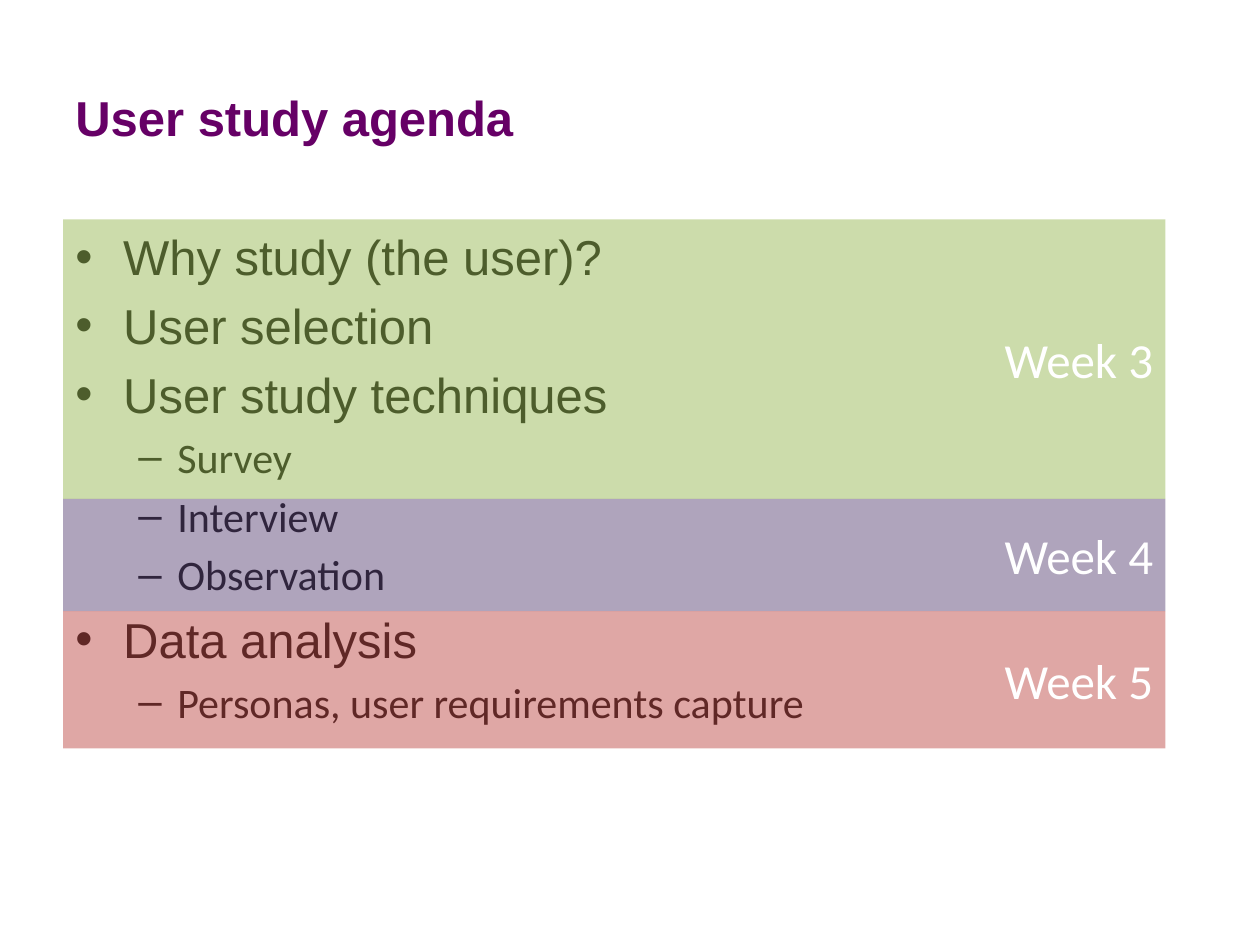
from lxml import etree
from pptx import Presentation
from pptx.dml.color import RGBColor
from pptx.enum.shapes import MSO_SHAPE
from pptx.enum.text import MSO_ANCHOR, PP_ALIGN
from pptx.oxml.ns import qn
from pptx.util import Inches, Pt

RECTANGLE = MSO_SHAPE.RECTANGLE
MIDDLE = MSO_ANCHOR.MIDDLE
RIGHT = PP_ALIGN.RIGHT

COLORS = {
    "title": "660066",
    "text": "000000",
    "label": "FFFFFF",
    "week 3": "9BBB59",
    "week 4": "604A7B",
    "week 5": "C0504D",
}


def write(paragraph, text, size=28, font="Arial", color="text", bold=False, align=None):
    run = paragraph.add_run()
    run.text = text
    run.font.size = Pt(size)
    run.font.name = font
    run.font.bold = bold
    run.font.color.rgb = RGBColor.from_string(COLORS[color])
    paragraph.alignment = align


def add_bullet(paragraph, char, indent, hanging):
    props = paragraph._p.get_or_add_pPr()
    props.set("marL", str(Inches(indent)))
    props.set("indent", str(-Inches(hanging)))
    space_before = etree.SubElement(props, qn("a:spcBef"))
    etree.SubElement(space_before, qn("a:spcPct"), val="20000")
    etree.SubElement(props, qn("a:buFont"), typeface="Arial")
    etree.SubElement(props, qn("a:buChar"), char=char)


prs = Presentation()
prs.slide_width, prs.slide_height = Inches(10), Inches(7.5)
slide = prs.slides.add_slide(prs.slide_layouts[6])
left = Inches(0.5)

# Title
title = slide.shapes.add_textbox(left, Inches(0.3), Inches(9), Inches(1.25)).text_frame
title.word_wrap = True
title.vertical_anchor = MIDDLE
write(title.paragraphs[0], "User study agenda", color="title", bold=True)

# Agenda: level and wording
agenda_items = [
    (0, "Why study (the user)?"),
    (0, "User selection"),
    (0, "User study techniques"),
    (1, "Survey"),
    (1, "Interview"),
    (1, "Observation"),
    (0, "Data analysis"),
    (1, "Personas, user requirements capture"),
]
level_text = [{"size": 28, "font": "Arial"}, {"size": 24, "font": "Calibri"}]
level_bullet = [("•", 0.38, 0.38), ("–", 0.81, 0.31)]

agenda = slide.shapes.add_textbox(left, Inches(1.75), Inches(9), Inches(4.19)).text_frame
agenda.word_wrap = True
for index, (level, item) in enumerate(agenda_items):
    line = agenda.add_paragraph() if index else agenda.paragraphs[0]
    line.level = level
    write(line, item, **level_text[level])
    add_bullet(line, *level_bullet[level])

# Translucent week bands, stacked without gaps
top = 1.74
for week, height in [("Week 3", 2.22), ("Week 4", 0.89), ("Week 5", 1.09)]:
    band = slide.shapes.add_shape(RECTANGLE, left, Inches(top), Inches(8.75), Inches(height))
    band.shadow.inherit = False
    band.line.fill.background()
    band.fill.solid()
    band.fill.fore_color.rgb = RGBColor.from_string(COLORS[week.lower()])
    fill_color = band.fill._xPr.find(qn("a:solidFill"))[0]
    etree.SubElement(fill_color, qn("a:alpha"), val="50000")
    band.text_frame.vertical_anchor = MIDDLE
    write(band.text_frame.paragraphs[0], week, font="Calibri", color="label", align=RIGHT)
    top += height

prs.save("out.pptx")
